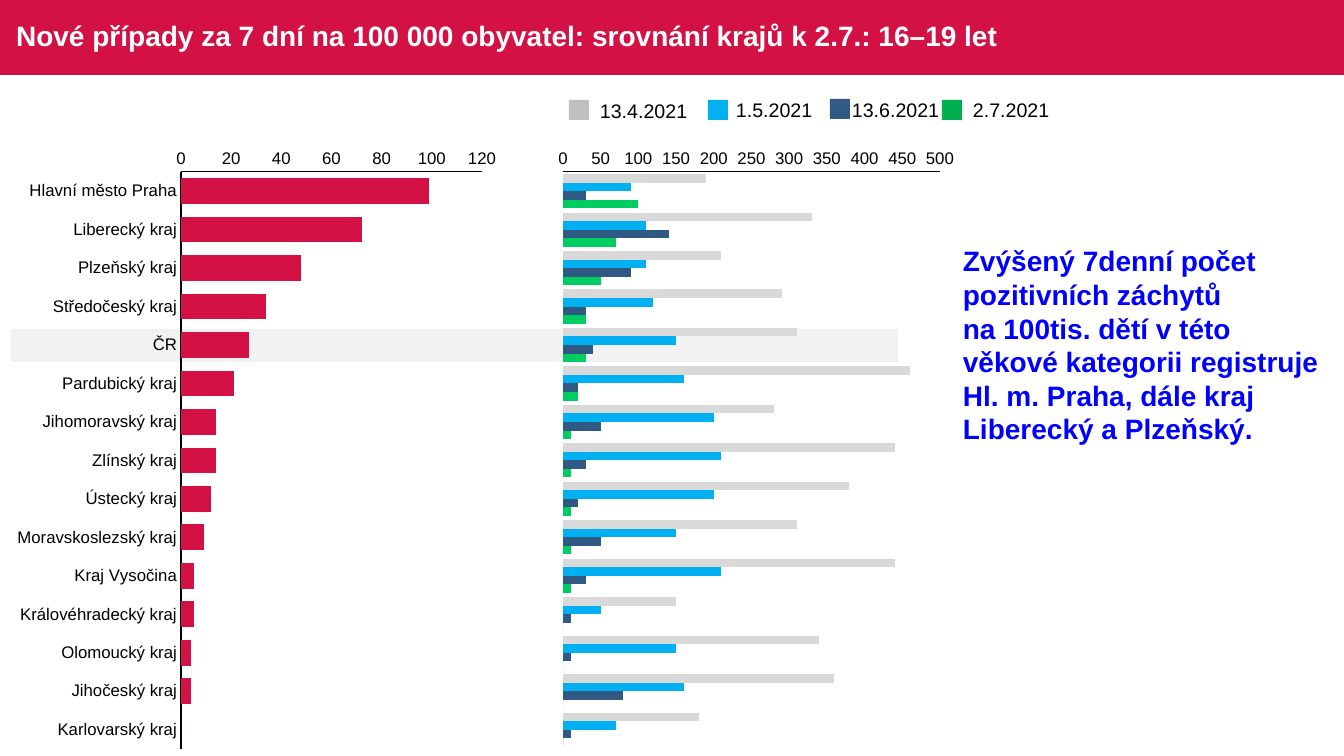
import dataclasses

import lxml.etree
import pptx
import pptx.chart.data
import pptx.dml.color
import pptx.enum.chart
import pptx.enum.shapes
import pptx.enum.text
import pptx.oxml.ns
import pptx.util

SCALE = 12192000 / 1344


@dataclasses.dataclass(frozen=True)
class Theme:
    """Colours, font and type sizes of the slide."""
    font: str = "Arial"
    crimson: str = "D31145"
    strip: str = "F2F2F2"
    black: str = "000000"
    white: str = "FFFFFF"
    note: str = "0000FF"
    heading_size: int = 20
    legend_size: int = 14
    axis_size: int = 12


THEME = Theme()

REGIONS = [
    ("Hlavní město Praha", 99, (190, 90, 30, 100)),
    ("Liberecký kraj", 72, (330, 110, 140, 70)),
    ("Plzeňský kraj", 48, (210, 110, 90, 50)),
    ("Středočeský kraj", 34, (290, 120, 30, 30)),
    ("ČR", 27, (310, 150, 40, 30)),
    ("Pardubický kraj", 21, (460, 160, 20, 20)),
    ("Jihomoravský kraj", 14, (280, 200, 50, 10)),
    ("Zlínský kraj", 14, (440, 210, 30, 10)),
    ("Ústecký kraj", 12, (380, 200, 20, 10)),
    ("Moravskoslezský kraj", 9, (310, 150, 50, 10)),
    ("Kraj Vysočina", 5, (440, 210, 30, 10)),
    ("Královéhradecký kraj", 5, (150, 50, 10, 0)),
    ("Olomoucký kraj", 4, (340, 150, 10, 0)),
    ("Jihočeský kraj", 4, (360, 160, 80, 0)),
    ("Karlovarský kraj", 0, (180, 70, 10, 0)),
]

DATES = [
    ("13.4.2021", "D9D9D9"),
    ("1.5.2021", "00B0F0"),
    ("13.6.2021", "305983"),
    ("2.7.2021", "00CD61"),
]

LEGEND = [
    ("13.4.2021", "BFBFBF", 0, 1, 21, 2),
    ("1.5.2021", "00B0F0", 139, 1, 157, 1),
    ("13.6.2021", "305983", 261, 0, 273, 1),
    ("2.7.2021", "00B050", 373, 1, 394, 1),
]

NOTE = ("Zvýšený 7denní počet pozitivních záchytů\nna 100tis. dětí v této "
        "věkové kategorii registruje Hl. m. Praha, dále kraj Liberecký a Plzeňský.")


def px(length):
    """Turn px into EMU."""
    return pptx.util.Emu(round(length * SCALE))


def rgb(colour):
    """Turn a hex string into a colour."""
    return pptx.dml.color.RGBColor.from_string(colour)


def write(frame, text, *, size, colour, bold=False, wrap=True, spacing=None):
    """Fill a text frame with one formatted paragraph."""
    frame.word_wrap = wrap
    para = frame.paragraphs[0]
    para.text = text
    para.alignment = pptx.enum.text.PP_ALIGN.LEFT
    para.line_spacing = spacing
    for span in para.runs:
        span.font.name = THEME.font
        span.font.size = pptx.util.Pt(size)
        span.font.bold = bold
        span.font.color.rgb = rgb(colour)


def add_block(page, box, colour):
    """Draw a plain filled rectangle."""
    shape = page.shapes.add_shape(
        pptx.enum.shapes.MSO_SHAPE.RECTANGLE, *map(px, box))
    shape.shadow.inherit = False
    shape.fill.solid()
    shape.fill.fore_color.rgb = rgb(colour)
    shape.line.fill.background()


def add_header(page, box):
    """Draw the header band with the title on it."""
    left, top, width, height = box
    add_block(page, box, THEME.crimson)
    title = page.shapes.title
    page.shapes.element.append(title.element)
    title.left, title.top = px(left + 6), px(top)
    title.width, title.height = px(width - 133), px(height)
    write(title.text_frame,
          "Nové případy za 7 dní na 100 000 obyvatel: srovnání krajů k 2.7.: 16–19 let",
          size=THEME.heading_size, colour=THEME.white, bold=True, spacing=0.9)
    title.text_frame.vertical_anchor = pptx.enum.text.MSO_ANCHOR.MIDDLE
    title.text_frame.auto_size = pptx.enum.text.MSO_AUTO_SIZE.NONE


def add_legend(page, box):
    """Place the colour keys and their dates."""
    left, top, _, height = box
    for date, colour, key_x, key_y, text_x, text_y in LEGEND:
        add_block(page, (left + key_x, top + 7 + key_y, 20, 20), colour)
        label = page.shapes.add_textbox(
            *map(px, (left + text_x, top + text_y, 108, height)))
        write(label.text_frame, date, size=THEME.legend_size,
              colour=THEME.black, wrap=False)


def add_note(page, box):
    """Place the comment beside the charts."""
    note = page.shapes.add_textbox(*map(px, box))
    write(note.text_frame, NOTE, size=THEME.heading_size,
          colour=THEME.note, bold=True)


def set_plot_box(chart, box, plot_box):
    """Fix the inner plot area inside the chart box."""
    left, top, width, height = box
    plot_left, plot_top, plot_width, plot_height = plot_box
    plot_area = chart.plots[0].element.getparent() if hasattr(
        chart.plots[0], "element") else chart.element.find(
        ".//" + pptx.oxml.ns.qn("c:plotArea"))
    for old in plot_area.findall(pptx.oxml.ns.qn("c:layout")):
        plot_area.remove(old)
    layout = lxml.etree.Element(pptx.oxml.ns.qn("c:layout"))
    manual = lxml.etree.SubElement(layout, pptx.oxml.ns.qn("c:manualLayout"))
    settings = [
        ("layoutTarget", "inner"), ("xMode", "edge"), ("yMode", "edge"),
        ("x", (plot_left - left) / width), ("y", (plot_top - top) / height),
        ("w", plot_width / width), ("h", plot_height / height),
    ]
    for name, value in settings:
        lxml.etree.SubElement(
            manual, pptx.oxml.ns.qn("c:" + name)).set("val", str(value))
    plot_area.insert(0, layout)


def add_bars(page, box, plot_box, series, maximum, step, show_regions):
    """Draw a bar chart of the regions, first region on top."""
    data = pptx.chart.data.CategoryChartData()
    data.categories = [region for region, _, _ in REGIONS]
    for name, values, _ in series:
        data.add_series(name, values)
    chart = page.shapes.add_chart(
        pptx.enum.chart.XL_CHART_TYPE.BAR_CLUSTERED, *map(px, box), data).chart
    chart.has_legend = False
    chart.has_title = False
    chart.font.name = THEME.font
    chart.font.size = pptx.util.Pt(THEME.axis_size)
    chart.font.color.rgb = rgb(THEME.black)
    plot = chart.plots[0]
    plot.gap_width = 50
    plot.overlap = 0
    plot.vary_by_categories = False
    for bars, (_, _, colour) in zip(plot.series, series):
        bars.format.fill.solid()
        bars.format.fill.fore_color.rgb = rgb(colour)
        bars.invert_if_negative = False
    for axis in (chart.category_axis, chart.value_axis):
        axis.has_major_gridlines = False
        axis.major_tick_mark = pptx.enum.chart.XL_TICK_MARK.NONE
        axis.minor_tick_mark = pptx.enum.chart.XL_TICK_MARK.NONE
        axis.format.line.color.rgb = rgb(THEME.black)
        axis.format.line.width = pptx.util.Pt(0.75)
    chart.category_axis.reverse_order = True
    chart.category_axis.visible = show_regions
    chart.value_axis.minimum_scale = 0
    chart.value_axis.maximum_scale = maximum
    chart.value_axis.major_unit = step
    set_plot_box(chart, box, plot_box)


def build_slide(page):
    """Lay out the comparison of regions."""
    current = [("2.7.2021", [value for _, value, _ in REGIONS], THEME.crimson)]
    history = [(date, [values[index] for _, _, values in REGIONS], colour)
               for index, (date, colour) in enumerate(DATES)]
    add_header(page, (0, 0, 1344, 75))
    add_block(page, (11, 329, 887, 33), THEME.strip)
    add_bars(page, (550, 138, 413, 624), (563, 172, 377, 577),
             history, 500, 50, False)
    add_note(page, (953, 239, 378, 214))
    add_bars(page, (8, 138, 498, 624), (181, 172, 301, 577),
             current, 120, 20, True)
    add_legend(page, (569, 92, 502, 34))


def main():
    """Build and save the deck."""
    deck = pptx.Presentation()
    deck.slide_width, deck.slide_height = px(1344), px(756)
    build_slide(deck.slides.add_slide(deck.slide_layouts[5]))
    deck.save("out.pptx")


if __name__ == "__main__":
    main()
